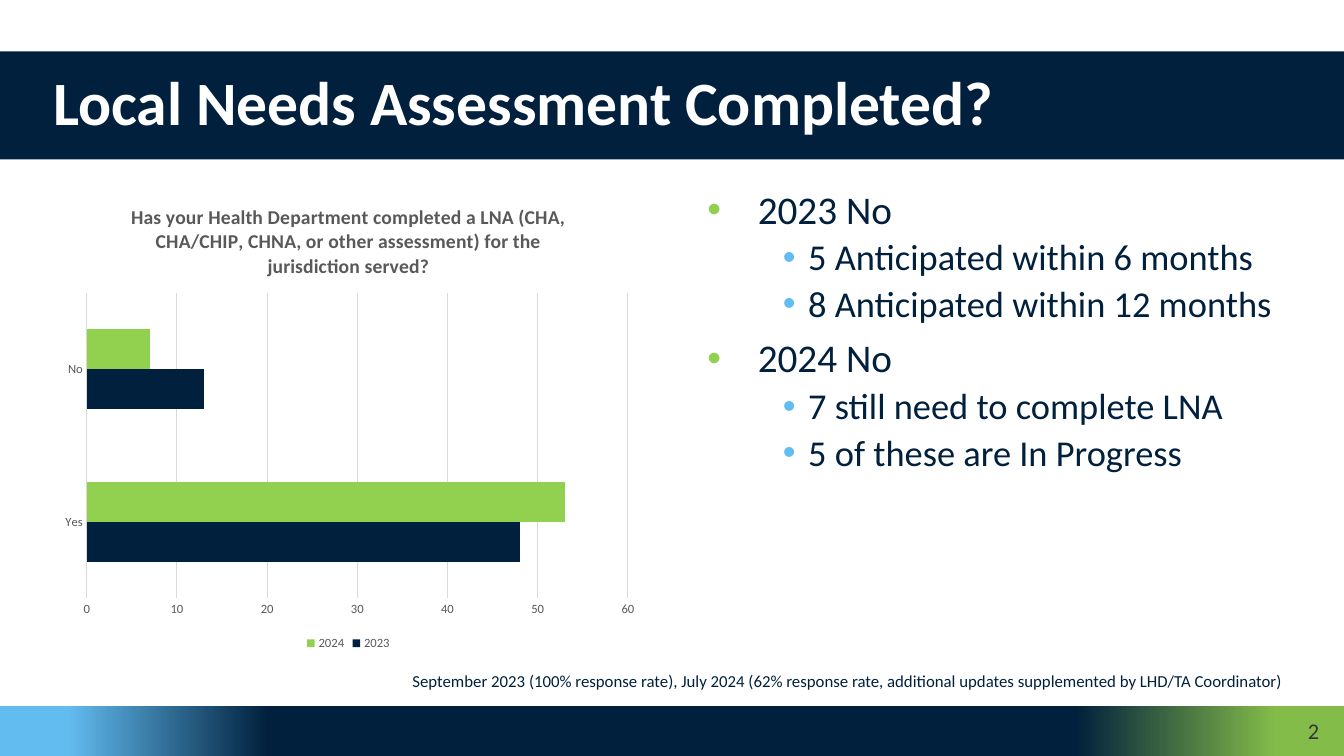
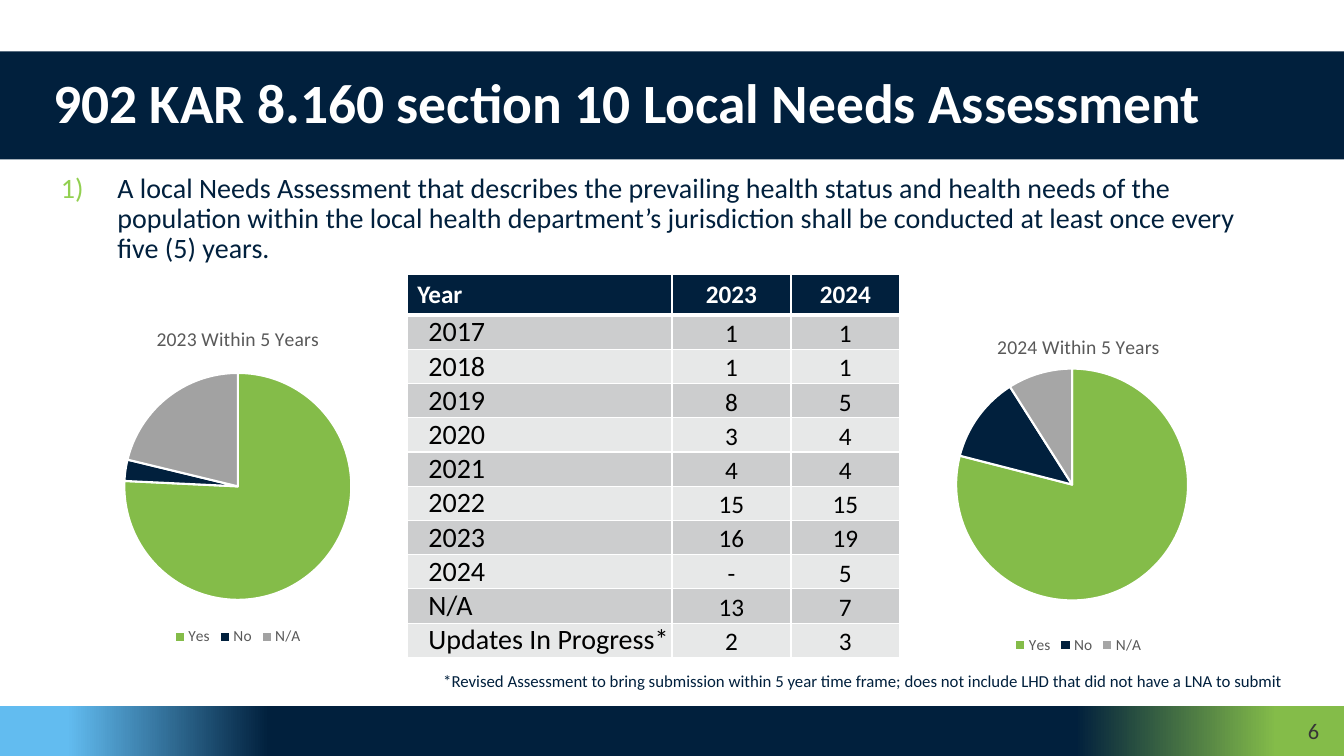
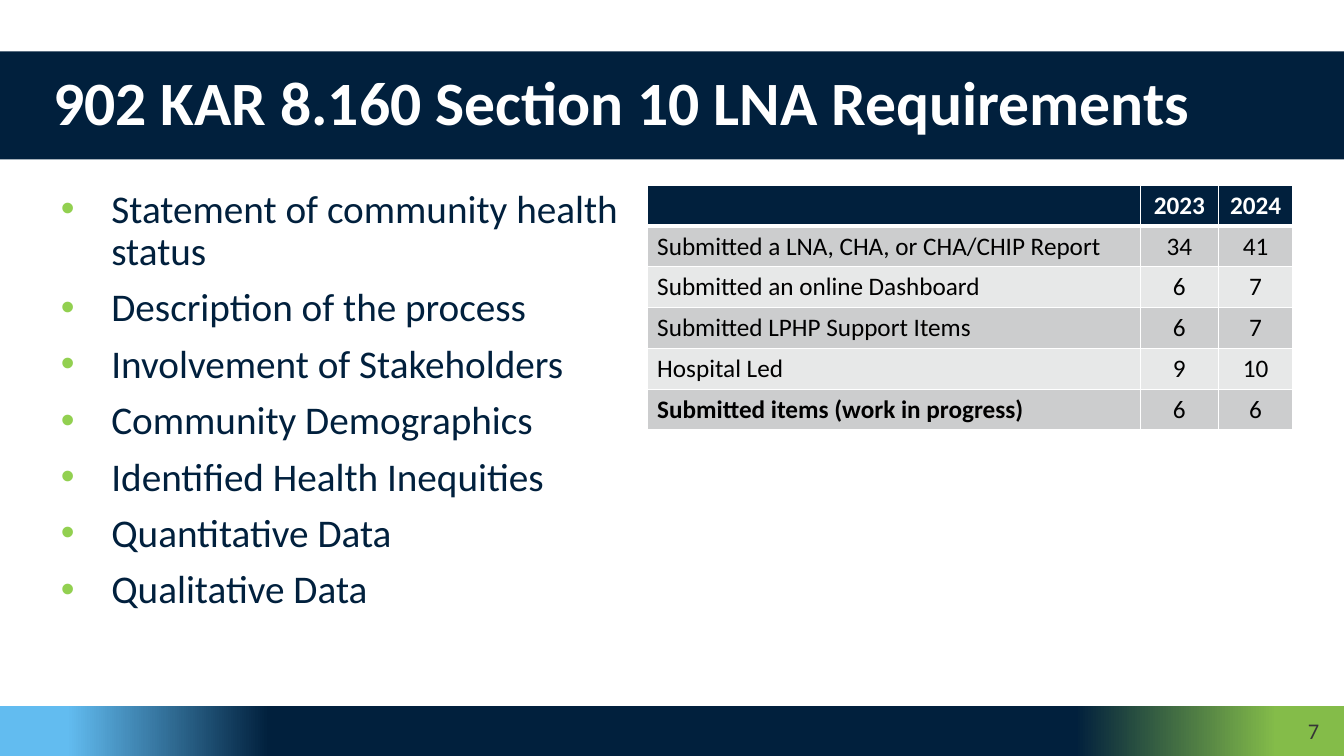
from lxml.etree import SubElement
from pptx import Presentation
from pptx.chart.data import CategoryChartData
from pptx.dml.color import RGBColor
from pptx.enum.chart import XL_CHART_TYPE, XL_LEGEND_POSITION, XL_TICK_MARK
from pptx.enum.shapes import MSO_SHAPE
from pptx.enum.text import MSO_ANCHOR, PP_ALIGN
from pptx.oxml import parse_xml
from pptx.oxml.ns import nsdecls, qn
from pptx.util import Inches, Pt

NAVY = RGBColor(0x01, 0x20, 0x3D)
SKY = RGBColor(0x62, 0xBC, 0xF0)
LEAF = RGBColor(0x84, 0xBC, 0x49)
LIME = RGBColor(0x92, 0xD0, 0x50)
WHITE = RGBColor(0xFF, 0xFF, 0xFF)
BLACK = RGBColor(0, 0, 0)
CHARCOAL = RGBColor(0x36, 0x36, 0x36)
GRAY = RGBColor(0x59, 0x59, 0x59)
RULE = RGBColor(0xD9, 0xD9, 0xD9)
SILVER = RGBColor(0xA2, 0xA2, 0xA2)
ASH = RGBColor(0xA6, 0xA6, 0xA6)
STRIPES = (RGBColor(0xE7, 0xE8, 0xE8), RGBColor(0xCC, 0xCD, 0xCE))
FONT = "Calibri"
FOOTER_STOPS = ((5, SKY), (20, NAVY), (80, NAVY), (95, LEAF))


class Deck:
    """Build slides in one style, with every box given in percent of the slide."""

    def __init__(self):
        self.presentation = Presentation()
        self.presentation.slide_width = Inches(13.33)
        self.presentation.slide_height = Inches(7.5)
        self.slide = None

    def across(self, share):
        return round(self.presentation.slide_width * share / 100)

    def down(self, share):
        return round(self.presentation.slide_height * share / 100)

    def box(self, left, top, width, height):
        return self.across(left), self.down(top), self.across(width), self.down(height)

    def style(self, font, size, color, bold=False):
        font.name, font.size, font.bold = FONT, Pt(size), bold
        font.color.rgb = color

    def set_text(self, paragraph, text, size, color, bold=False, align=PP_ALIGN.LEFT):
        paragraph.text = text
        paragraph.alignment = align
        for run in paragraph.runs:
            self.style(run.font, size, color, bold)

    def band(self, place):
        shape = self.slide.shapes.add_shape(MSO_SHAPE.RECTANGLE, *self.box(*place))
        shape.shadow.inherit = False
        shape.line.fill.background()
        shape.fill.solid()
        shape.fill.fore_color.rgb = NAVY
        return shape

    def text_frame(self, place):
        frame = self.slide.shapes.add_textbox(*self.box(*place)).text_frame
        frame.word_wrap = True
        return frame

    def start(self, title, number, title_size=44):
        self.slide = self.presentation.slides.add_slide(self.presentation.slide_layouts[6])
        footer = self.band((0, 93.33, 100, 6.67))
        stops = "".join(
            f'<a:gs pos="{place * 1000}"><a:srgbClr val="{color}"/></a:gs>'
            for place, color in FOOTER_STOPS
        )
        properties = footer._element.spPr
        properties.replace(properties.find(qn("a:solidFill")), parse_xml(
            f'<a:gradFill {nsdecls("a")}><a:gsLst>{stops}</a:gsLst><a:lin ang="0"/></a:gradFill>'
        ))
        self.band((25, 93.6, 50.1, 6))
        frame = self.text_frame((93.2, 94.8, 5.7, 3.7))
        frame.vertical_anchor = MSO_ANCHOR.MIDDLE
        self.set_text(frame.paragraphs[0], number, 16, CHARCOAL, align=PP_ALIGN.RIGHT)
        frame = self.band((0, 6.8, 100, 14.3)).text_frame
        frame.word_wrap = True
        frame.vertical_anchor = MSO_ANCHOR.MIDDLE
        frame.margin_right = self.across(2.25)
        paragraph = frame.paragraphs[0]
        self.set_text(paragraph, title, title_size, WHITE, True)
        paragraph.line_spacing = 0.9
        paragraph._p.get_or_add_pPr().set("marL", str(self.across(3.22)))

    def note(self, text):
        paragraph = self.text_frame((3.8, 88.3, 92.4, 3.7)).paragraphs[0]
        self.set_text(paragraph, text, 12, NAVY, align=PP_ALIGN.RIGHT)
        paragraph.line_spacing = 0.9

    def bullets(self, place, items, size=28, indent=3.75, numbered=False):
        frame = self.text_frame(place)
        for index, (level, text) in enumerate(items):
            paragraph = frame.add_paragraph() if index else frame.paragraphs[0]
            self.set_text(paragraph, text, size - 2 * level, NAVY)
            paragraph.level = level
            paragraph.line_spacing = 0.9
            paragraph.space_before = Pt(5 if level else 10)
            properties = paragraph._p.get_or_add_pPr()
            properties.set("marL", str(self.across(7.5 if level else indent)))
            properties.set("indent", str(-self.across(1.88 if level else indent)))
            color = SubElement(properties, qn("a:buClr"))
            SubElement(color, qn("a:srgbClr"), val=str(SKY if level else LIME))
            if numbered:
                SubElement(properties, qn("a:buAutoNum"), type="arabicParenR")
            else:
                SubElement(properties, qn("a:buFont"), typeface="Arial")
                SubElement(properties, qn("a:buChar"), char="•")

    def borders(self, cell, row):
        properties = cell._tc.get_or_add_tcPr()
        widths = {"L": 1, "R": 1, "T": 3 if row == 1 else 1, "B": 1 if row else 3}
        for side, width in widths.items():
            line = SubElement(properties, qn(f"a:ln{side}"), w=str(Pt(width)))
            fill = SubElement(line, qn("a:solidFill"))
            SubElement(fill, qn("a:srgbClr"), val=str(WHITE))

    def table(self, left, top, columns, row_height, rows, label_size=18, tight=False, bold_row=None):
        place = self.box(left, top, sum(columns), 5.4 + row_height * (len(rows) - 1))
        table = self.slide.shapes.add_table(len(rows), len(columns), *place).table
        for column, width in zip(table.columns, columns):
            column.width = self.across(width)
        for row, values in enumerate(rows):
            table.rows[row].height = self.down(row_height if row else 5.4)
            for column, value in enumerate(values):
                cell = table.cell(row, column)
                self.borders(cell, row)
                cell.fill.solid()
                cell.fill.fore_color.rgb = STRIPES[row % 2] if row else NAVY
                if row and tight:
                    cell.vertical_anchor = MSO_ANCHOR.BOTTOM
                    cell.margin_right = cell.margin_top = cell.margin_bottom = 0
                    cell.margin_left = 0 if column else self.across(1.58)
                self.set_text(
                    cell.text_frame.paragraphs[0], value,
                    label_size if row and not column else 18,
                    BLACK if row else WHITE,
                    not row or (row == bold_row and not column),
                    PP_ALIGN.CENTER if column else PP_ALIGN.LEFT,
                )

    def chart(self, kind, place, title, categories, series, plot, legend_size, bold=False):
        data = CategoryChartData()
        data.categories = categories
        for name, values in series:
            data.add_series(name, values)
        chart = self.slide.shapes.add_chart(kind, *self.box(*place), data).chart
        self.style(chart.font, 10, BLACK)
        chart.has_title = True
        self.set_text(chart.chart_title.text_frame.paragraphs[0], title, 14, GRAY, bold, PP_ALIGN.CENTER)
        chart.chart_title.include_in_layout = False
        chart.has_legend = True
        chart.legend.position = XL_LEGEND_POSITION.BOTTOM
        chart.legend.include_in_layout = False
        self.style(chart.legend.font, legend_size, GRAY)
        area = chart._chartSpace.chart.plotArea
        for layout in area.findall(qn("c:layout")):
            area.remove(layout)
        sizes = "".join(f'<c:{key} val="{share}"/>' for key, share in zip("xywh", plot))
        area.insert(0, parse_xml(
            f'<c:layout {nsdecls("c")}><c:manualLayout><c:layoutTarget val="inner"/>'
            f'<c:xMode val="edge"/><c:yMode val="edge"/>{sizes}</c:manualLayout></c:layout>'
        ))
        return chart

    def bars(self, place, title, categories, series, colors, plot):
        chart = self.chart(XL_CHART_TYPE.BAR_CLUSTERED, place, title, categories, series, plot, 9, True)
        bars = chart.plots[0]
        bars.gap_width, bars.overlap, bars.vary_by_categories = 182, 0, False
        for item, color in zip(bars.series, colors):
            item.format.fill.solid()
            item.format.fill.fore_color.rgb = color
        for axis in (chart.category_axis, chart.value_axis):
            self.style(axis.tick_labels.font, 9, GRAY)
            axis.major_tick_mark = axis.minor_tick_mark = XL_TICK_MARK.NONE
        chart.category_axis.format.line.color.rgb = RULE
        chart.category_axis.format.line.width = Pt(0.75)
        chart.value_axis.format.line.fill.background()
        grid = chart.value_axis.major_gridlines.format.line
        grid.color.rgb, grid.width = RULE, Pt(0.75)

    def pie(self, place, title, categories, values, colors, plot):
        chart = self.chart(
            XL_CHART_TYPE.PIE, place, title, categories, [("Series 1", values)], plot, 11)
        chart.plots[0].vary_by_categories = True
        for index, color in enumerate(colors):
            point = chart.plots[0].series[0].points[index].format
            point.fill.solid()
            point.fill.fore_color.rgb = color
            point.line.color.rgb, point.line.width = WHITE, Pt(1.5)
            if values[index] is None:
                chart.legend._element.insert(1, parse_xml(
                    f'<c:legendEntry {nsdecls("c")}><c:idx val="{index}"/>'
                    '<c:delete val="1"/></c:legendEntry>'
                ))


def main():
    deck = Deck()

    deck.start("Local Needs Assessment Completed?", "2")
    deck.note("September 2023 (100% response rate), July 2024 (62% response rate, "
              "additional updates supplemented by LHD/TA Coordinator)")
    deck.bars(
        (3.8, 24.5, 44.25, 62.1),
        "Has your Health Department completed a LNA (CHA, CHA/CHIP, CHNA, "
        "or other assessment) for the jurisdiction served?",
        ("Yes", "No"), [("2023", (48, 13)), ("2024", (53, 7))], (NAVY, LIME),
        (0.06, 0.23, 0.91, 0.65))
    deck.bullets((51.9, 24.5, 44.25, 62.3), [
        (0, "2023 No"),
        (1, "5 Anticipated within 6 months"),
        (1, "8 Anticipated within 12 months"),
        (0, "2024 No"),
        (1, "7 still need to complete LNA"),
        (1, "5 of these are In Progress"),
    ])

    deck.start("902 KAR 8.160 section 10 Local Needs Assessment", "6", 39.6)
    deck.bullets((3.8, 22.4, 92.35, 62.3), [
        (0, "A local Needs Assessment that describes the prevailing health status and health "
            "needs of the population within the local health department’s jurisdiction shall "
            "be conducted at least once every five (5) years."),
    ], size=20, indent=4.2, numbered=True)
    deck.pie((0.1, 40.9, 35.2, 45.1), "2023 Within 5 Years",
             ("Within 5 years", "Yes", "No", "N/A"), (None, 75, 3, 21),
             (NAVY, LEAF, NAVY, SILVER), (0.26, 0.18, 0.48, 0.68))
    deck.pie((64.4, 42, 31.7, 45.1), "2024 Within 5 Years",
             ("Yes", "No", "N/A"), (79, 12, 9),
             (LEAF, NAVY, ASH), (0.2, 0.15, 0.57, 0.68))
    deck.table(30.3, 36.3, (19.7, 8.85, 8.1), 4.53, [
        ("Year", "2023", "2024"),
        ("2017", "1", "1"),
        ("2018", "1", "1"),
        ("2019", "8", "5"),
        ("2020", "3", "4"),
        ("2021", "4", "4"),
        ("2022", "15", "15"),
        ("2023", "16", "19"),
        ("2024", "-", "5"),
        ("N/A", "13", "7"),
        ("Updates In Progress*", "2", "3"),
    ], label_size=20, tight=True)
    deck.note("*Revised Assessment to bring submission within 5 year time frame; "
              "does not include LHD that did not have a LNA to submit")

    deck.start("902 KAR 8.160 Section 10 LNA Requirements", "7")
    deck.bullets((3.8, 24.4, 44.25, 62.3), [(0, text) for text in (
        "Statement of community health status",
        "Description of the process",
        "Involvement of Stakeholders",
        "Community Demographics",
        "Identified Health Inequities",
        "Quantitative Data",
        "Qualitative Data",
    )])
    deck.table(48.15, 24.5, (36.7, 5.8, 5.55), 5.4, [
        ("", "2023", "2024"),
        ("Submitted a LNA, CHA, or CHA/CHIP Report", "34", "41"),
        ("Submitted an online Dashboard", "6", "7"),
        ("Submitted LPHP Support Items", "6", "7"),
        ("Hospital Led", "9", "10"),
        ("Submitted items (work in progress)", "6", "6"),
    ], bold_row=5)

    deck.presentation.save("out.pptx")


if __name__ == "__main__":
    main()
